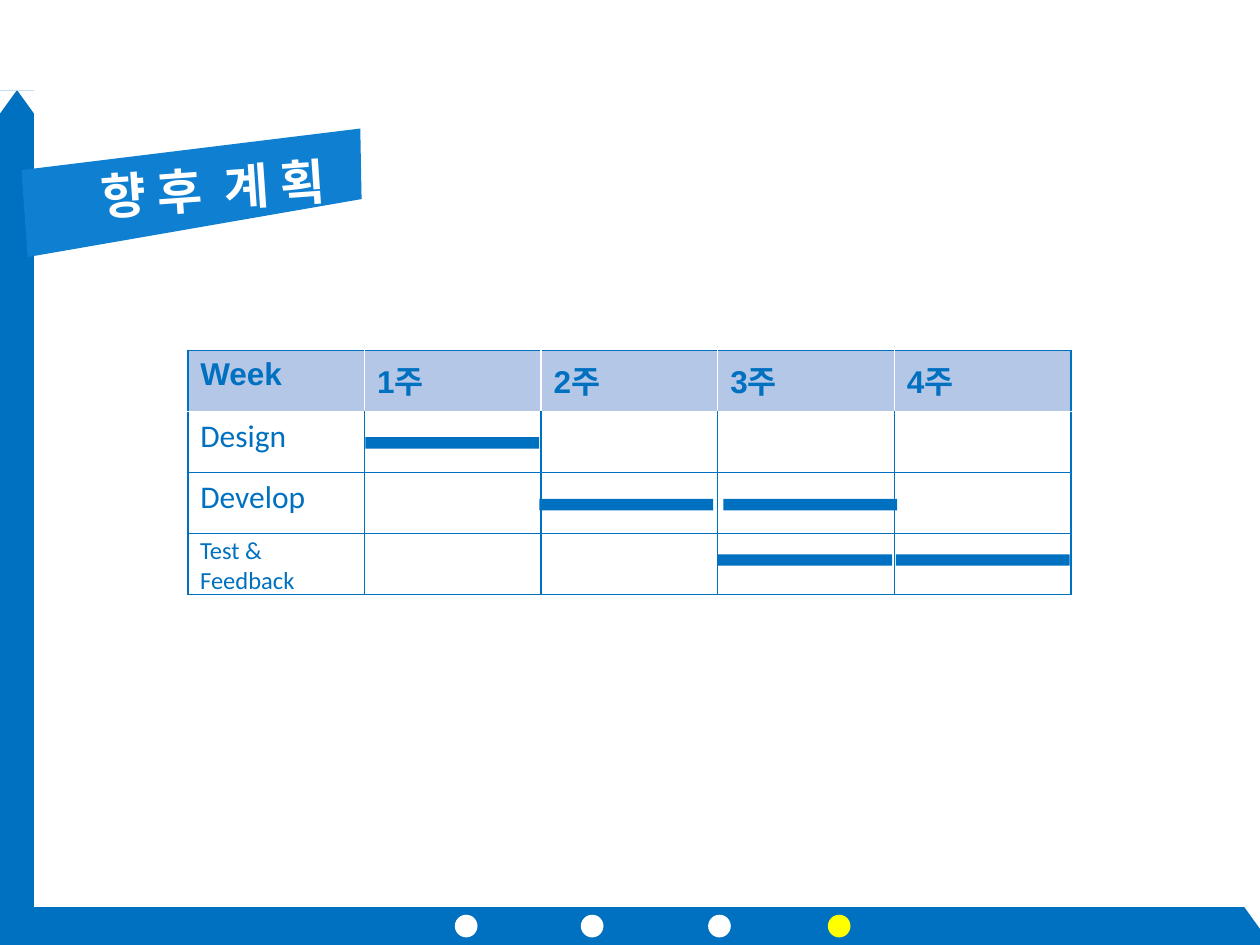
import pptx
import pptx.dml.color
import pptx.enum.shapes
import pptx.enum.text
import pptx.oxml
import pptx.oxml.ns
import pptx.util
from dataclasses import dataclass

Inches = pptx.util.Inches
SHAPE = pptx.enum.shapes.MSO_SHAPE
ALIGN = pptx.enum.text.PP_ALIGN
ANCHOR = pptx.enum.text.MSO_ANCHOR


@dataclass(frozen=True)
class Theme:
    blue: str = "0070C0"
    banner: str = "0F7FD2"
    header: str = "B4C7E7"
    white: str = "FFFFFF"
    current: str = "FFFF00"
    title_size: int = 28
    table_size: int = 18
    label_size: int = 14
    heading_font: str = "Arial"
    body_font: str = "Calibri"


THEME = Theme()

WEEKS = ["Week", "1주", "2주", "3주", "4주"]
TASKS = ["Design", "Develop", ""]
TABLE_LEFT, TABLE_TOP = 1.49, 2.78
COLUMN_WIDTH, ROW_HEIGHT = 1.402, 0.485


def rgb(color):
    return pptx.dml.color.RGBColor.from_string(color)


def paint(shape, color):
    shape.shadow.inherit = False
    shape.fill.solid()
    shape.fill.fore_color.rgb = rgb(color)
    shape.line.fill.background()


def add_block(slide, kind, left, top, width, height, color, rotation=0):
    block = slide.shapes.add_shape(
        kind, Inches(left), Inches(top), Inches(width), Inches(height))
    paint(block, color)
    block.rotation = rotation
    return block


def write(frame, text, *, size, color=THEME.blue, font=THEME.body_font,
          bold=False, align=ALIGN.LEFT):
    for number, line in enumerate(text.split("\n")):
        paragraph = frame.add_paragraph() if number else frame.paragraphs[0]
        paragraph.alignment = align
        run = paragraph.add_run()
        run.text = line
        run.font.size = pptx.util.Pt(size)
        run.font.name = font
        run.font.bold = bold
        run.font.color.rgb = rgb(color)


def add_label(slide, text, left, top, width, height, *, wrap=False,
              rotation=0, anchor=ANCHOR.TOP, **text_format):
    label = slide.shapes.add_textbox(
        Inches(left), Inches(top), Inches(width), Inches(height))
    label.rotation = rotation
    label.text_frame.word_wrap = wrap
    label.text_frame.vertical_anchor = anchor
    write(label.text_frame, text, **text_format)


def set_borders(cell, **colors):
    properties = cell._tc.get_or_add_tcPr()
    for side in "LRTB":
        properties.append(pptx.oxml.parse_xml(
            f'<a:ln{side} {pptx.oxml.ns.nsdecls("a")} w="12700"><a:solidFill>'
            f'<a:srgbClr val="{colors[side]}"/></a:solidFill></a:ln{side}>'))


def add_frame(slide):
    # Upright and base bars with their pointed ends
    add_block(slide, SHAPE.RECTANGLE, 0, 0.72, 0.27, 6.78, THEME.blue)
    add_block(slide, SHAPE.RIGHT_TRIANGLE, 0.14, 0.72, 0.13, 0.18, THEME.white, 180)
    left_corner = add_block(
        slide, SHAPE.RIGHT_TRIANGLE, 0, 0.72, 0.13, 0.18, THEME.white, 180)
    left_corner._element.spPr.xfrm.set("flipH", "1")
    add_block(slide, SHAPE.RECTANGLE, 0, 7.2, 10, 0.3, THEME.blue)
    add_block(slide, SHAPE.RIGHT_TRIANGLE, 9.87, 7.19, 0.13, 0.18, THEME.white, 180)


def add_banner(slide):
    corners = [(Inches(x), Inches(y)) for x, y in
               [(0.17, 1.35), (2.86, 1.02), (2.87, 1.58), (0.22, 2.04)]]
    outline = slide.shapes.build_freeform(*corners[0])
    outline.add_line_segments(corners[1:], close=True)
    paint(outline.convert_to_shape(), THEME.banner)
    add_label(slide, "향 후  계 획", 0.19, 1.18, 3, 0.62, rotation=-4, wrap=True,
              anchor=ANCHOR.MIDDLE, size=THEME.title_size, color=THEME.white,
              font=THEME.heading_font, bold=True, align=ALIGN.CENTER)


def add_progress_dots(slide):
    for left in (3.61, 4.61, 5.62):
        add_block(slide, SHAPE.OVAL, left, 7.26, 0.18, 0.18, THEME.white)
    add_block(slide, SHAPE.OVAL, 6.57, 7.26, 0.18, 0.18, THEME.current)


def add_schedule(slide):
    rows = [WEEKS] + [[task] + [""] * (len(WEEKS) - 1) for task in TASKS]
    schedule = slide.shapes.add_table(
        len(rows), len(WEEKS), Inches(TABLE_LEFT), Inches(TABLE_TOP),
        Inches(COLUMN_WIDTH * len(WEEKS)), Inches(ROW_HEIGHT * len(rows))).table
    for column in schedule.columns:
        column.width = Inches(COLUMN_WIDTH)
    for r, texts in enumerate(rows):
        schedule.rows[r].height = Inches(ROW_HEIGHT)
        heading = r == 0
        inner = THEME.white if heading else THEME.blue
        for c, text in enumerate(texts):
            cell = schedule.cell(r, c)
            set_borders(
                cell,
                L=inner if c else THEME.blue,
                R=inner if c < len(WEEKS) - 1 else THEME.blue,
                T=THEME.white if r == 1 else THEME.blue,
                B=inner)
            cell.fill.solid()
            cell.fill.fore_color.rgb = rgb(THEME.header if heading else THEME.white)
            if text:
                write(cell.text_frame, text, size=THEME.table_size, bold=heading,
                      font=THEME.heading_font if heading else THEME.body_font)


def add_task_bars(slide):
    for left, top in [(2.9, 3.47), (4.28, 3.96), (5.74, 3.96), (5.7, 4.4), (7.11, 4.4)]:
        add_block(slide, SHAPE.RECTANGLE, left, top, 1.38, 0.09, THEME.blue)


def main():
    deck = pptx.Presentation()
    deck.slide_width, deck.slide_height = Inches(10), Inches(7.5)
    slide = deck.slides.add_slide(deck.slide_layouts[6])
    add_frame(slide)
    add_banner(slide)
    add_progress_dots(slide)
    add_schedule(slide)
    add_task_bars(slide)
    # Two-line name of the last task
    add_label(slide, "Test &\nFeedback", TABLE_LEFT, 4.2, 0.96, 0.57,
              size=THEME.label_size)
    deck.save("out.pptx")


if __name__ == "__main__":
    main()
